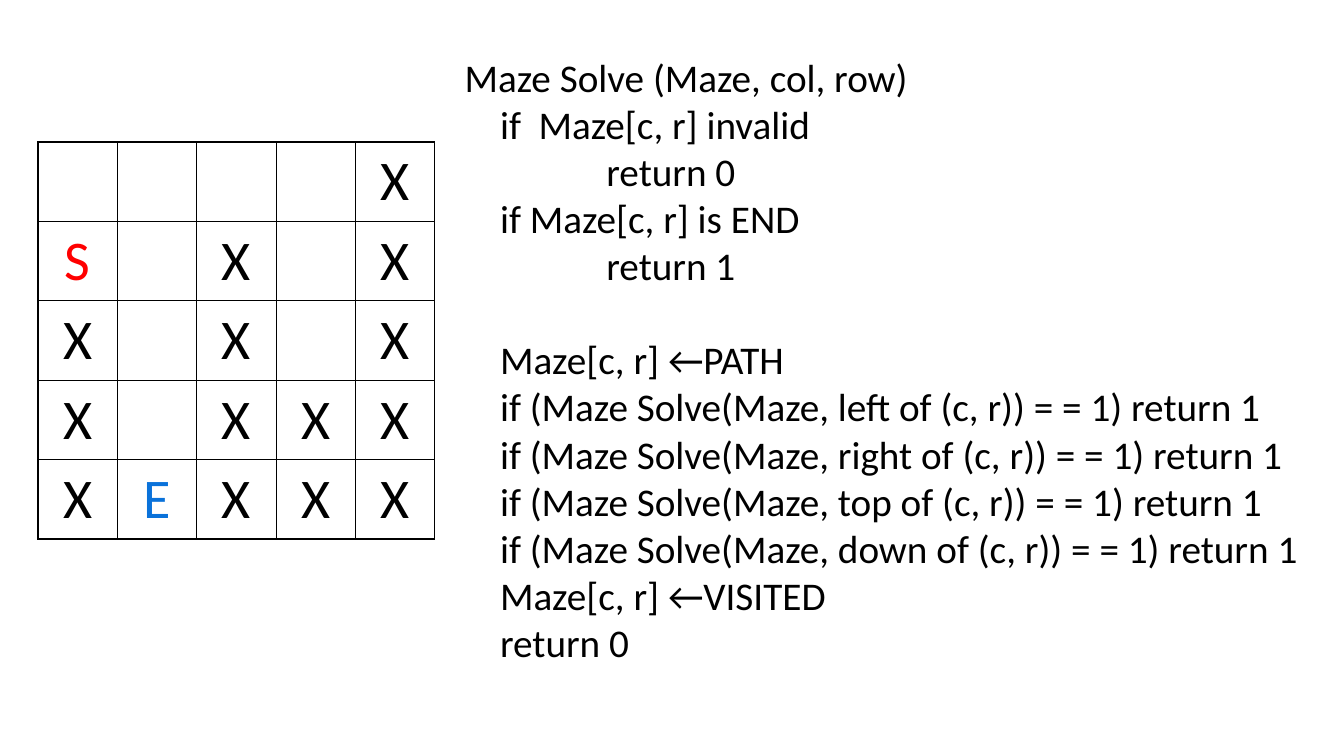
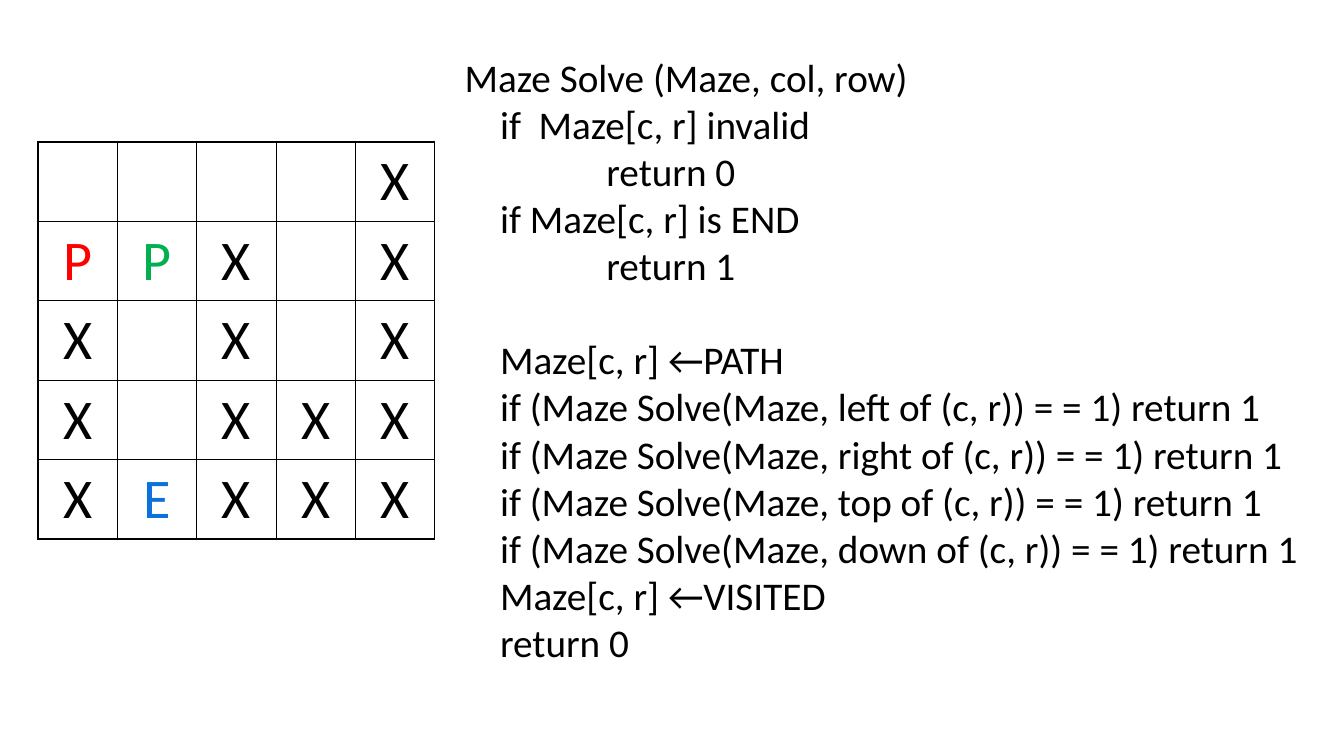
from lxml import etree
from pptx import Presentation
from pptx import util as u
from pptx.dml.color import RGBColor
from pptx.enum import text
from pptx.oxml.ns import qn

COLOURS = {"ink": "000000", "start": "FF0000", "step": "00B050", "end": "0A72DA"}
FONT = "Calibri"
CELL_SIZE = u.Cm(2)
CODE_SIZE = 28
BLANK_LINE = CODE_SIZE * 1.2

MAZE_BOX = (u.Cm(0.96), u.Cm(3.58))
CODE_BOX = (u.Cm(11.46), u.Cm(1.22), u.Cm(22.02), u.Cm(15.82))

DIRECTIONS = ("left", "right", "top", "down")
CODE_PARTS = (
    (
        "Maze Solve (Maze, col, row)",
        "    if  Maze[c, r] invalid",
        "                return 0",
        "    if Maze[c, r] is END",
        "                return 1",
    ),
    (
        "    Maze[c, r] ←PATH",
        *(f"    if (Maze Solve(Maze, {side} of (c, r)) = = 1) return 1" for side in DIRECTIONS),
        "    Maze[c, r] ←VISITED",
        "    return 0",
    ),
)

MAZE = ("....X", "S.X.X", "X.X.X", "X.XXX", "XEXXX")
STAGES = (
    (MAZE, {(1, 0): "start", (4, 1): "end"}),
    ((MAZE[0], "PPX.X", *MAZE[2:]), {(1, 0): "start", (1, 1): "step", (4, 1): "end"}),
)


def write(para, words, size=CODE_SIZE, colour="ink", align=text.PP_ALIGN.LEFT, before=0):
    para.alignment = align
    para.space_before = u.Pt(before)
    span = para.add_run()
    span.text = words
    span.font.name = FONT
    span.font.size = u.Pt(size)
    span.font.color.rgb = RGBColor.from_string(COLOURS[colour])


def outline_cell(cell):
    properties = cell._tc.get_or_add_tcPr()
    for side in ("lnL", "lnR", "lnT", "lnB"):
        line = etree.SubElement(properties, qn(f"a:{side}"), w=str(u.Pt(1)))
        fill = etree.SubElement(line, qn("a:solidFill"))
        etree.SubElement(fill, qn("a:srgbClr"), val=COLOURS["ink"])
    cell.fill.background()


def add_maze(page, box, maze, marks):
    rows, columns = len(maze), len(maze[0])
    frame = page.shapes.add_table(rows, columns, *box, CELL_SIZE * columns, CELL_SIZE * rows)
    table = frame.table
    table.first_row = False
    table.horz_banding = False
    for column in table.columns:
        column.width = CELL_SIZE
    for row in table.rows:
        row.height = CELL_SIZE
    for r, line in enumerate(maze):
        for c, symbol in enumerate(line):
            cell = table.cell(r, c)
            cell.vertical_anchor = text.MSO_ANCHOR.MIDDLE
            outline_cell(cell)
            if symbol != ".":
                write(cell.text_frame.paragraphs[0], symbol, size=40,
                      colour=marks.get((r, c), "ink"), align=text.PP_ALIGN.CENTER)


def add_code(page, box):
    frame = page.shapes.add_textbox(*box).text_frame
    frame.word_wrap = True
    for part_number, part in enumerate(CODE_PARTS):
        for line_number, line in enumerate(part):
            first = part_number == line_number == 0
            para = frame.paragraphs[0] if first else frame.add_paragraph()
            starts_part = part_number > 0 and line_number == 0
            write(para, line, before=BLANK_LINE if starts_part else 0)


def add_stage(deck, maze, marks):
    page = deck.slides.add_slide(deck.slide_layouts[6])
    add_maze(page, MAZE_BOX, maze, marks)
    add_code(page, CODE_BOX)


def main():
    deck = Presentation()
    deck.slide_width = u.Cm(33.87)
    deck.slide_height = u.Cm(19.05)
    for maze, marks in STAGES:
        add_stage(deck, maze, marks)
    deck.save("out.pptx")


if __name__ == "__main__":
    main()
